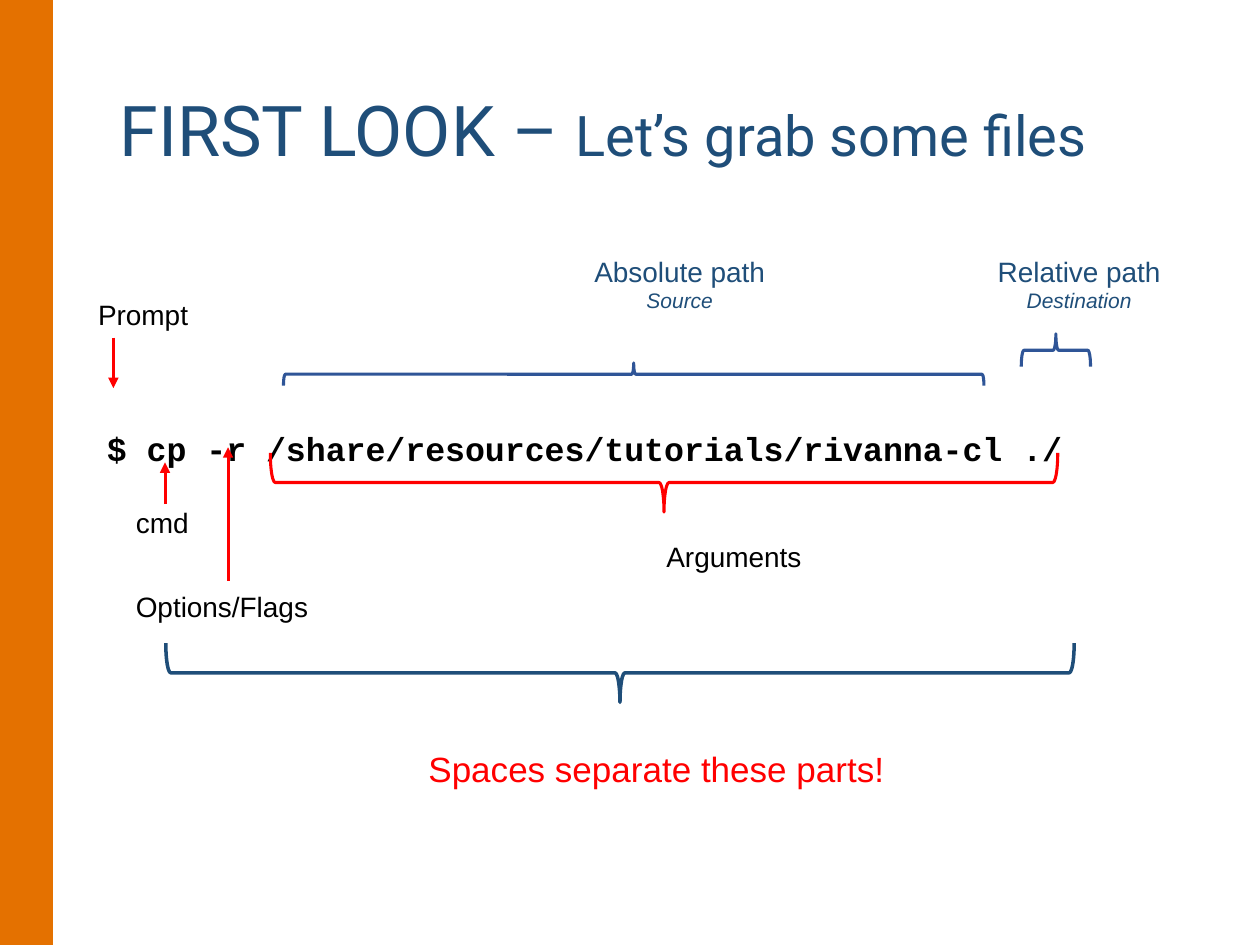
from lxml import etree
from pptx import Presentation
from pptx.dml.color import RGBColor
from pptx.enum.shapes import MSO_CONNECTOR, MSO_SHAPE
from pptx.enum.text import MSO_ANCHOR, PP_ALIGN
from pptx.oxml.ns import qn
from pptx.util import Inches, Pt

LEFT, CENTER = PP_ALIGN.LEFT, PP_ALIGN.CENTER
TOP, MIDDLE = MSO_ANCHOR.TOP, MSO_ANCHOR.MIDDLE
STRAIGHT = MSO_CONNECTOR.STRAIGHT
RECTANGLE, RIGHT_BRACE = MSO_SHAPE.RECTANGLE, MSO_SHAPE.RIGHT_BRACE

ORANGE = RGBColor(0xE4, 0x71, 0x00)
NAVY = RGBColor(0x1F, 0x4E, 0x79)
BLUE = RGBColor(0x2F, 0x55, 0x97)
RED = RGBColor(0xFF, 0x00, 0x00)
BLACK = RGBColor(0x00, 0x00, 0x00)

SLIDE_WIDTH, SLIDE_HEIGHT = 10, 7.5
UP, DOWN = 270, 90  # rotation that turns the tip of a right brace

# Content: paragraphs are lists of (text, size) runs
TITLE = [[("FIRST LOOK – ", 40), ("Let’s grab some files", 32)]]
COMMAND = [[("$ cp -r /share/resources/tutorials/rivanna-cl ./", 19)]]
MESSAGE = [[("Spaces separate these parts!", 20)]]

# text, left, top, width
PART_LABELS = [
    ("Prompt", 0.68, 2.31, 0.99),
    ("cmd", 0.98, 3.96, 0.63),
    ("Options/Flags", 0.98, 4.63, 1.63),
    ("Arguments", 5.19, 4.23, 1.29),
]
# heading, role, left, width
PATH_LABELS = [
    ("Absolute path", "Source", 4.61, 1.57),
    ("Relative path", "Destination", 7.81, 1.51),
]
# x, start y, end y
ARROWS = [(0.9, 2.68, 3.08), (1.31, 4, 3.67), (1.81, 4.61, 3.55)]
# centre x, centre y, span, depth, direction, colour, line width
BRACES = [
    (5.03, 2.97, 5.56, 0.18, UP, BLUE, 1.75),
    (8.38, 2.78, 0.55, 0.26, UP, BLUE, 1.75),
    (5.27, 3.83, 6.25, 0.47, DOWN, RED, 1.75),
    (4.92, 5.34, 7.21, 0.47, DOWN, NAVY, 2),
]


def add_text(slide, paragraphs, left, top, width, height, font="Arial", color=BLACK,
             bold=False, align=LEFT, anchor=TOP, wrap=True, spacing=1.0,
             italic_from=None):
    box = slide.shapes.add_textbox(Inches(left), Inches(top), Inches(width), Inches(height))
    frame = box.text_frame
    frame.word_wrap = wrap
    frame.vertical_anchor = anchor
    for index, runs in enumerate(paragraphs):
        paragraph = frame.add_paragraph() if index else frame.paragraphs[0]
        paragraph.alignment = align
        paragraph.line_spacing = spacing
        for text, size in runs:
            run = paragraph.add_run()
            run.text = text
            run.font.name = font
            run.font.size = Pt(size)
            run.font.bold = bold
            run.font.italic = italic_from is not None and index >= italic_from
            run.font.color.rgb = color


def add_arrow(slide, x, start, end):
    arrow = slide.shapes.add_connector(
        STRAIGHT, Inches(x), Inches(start), Inches(x), Inches(end))
    arrow.line.color.rgb = RED
    arrow.line.width = Pt(1.75)
    etree.SubElement(arrow.line._get_or_add_ln(), qn("a:tailEnd"), type="triangle")
    etree.SubElement(arrow._element.spPr, qn("a:effectLst"))


def add_brace(slide, center_x, center_y, span, depth, direction, color, weight):
    # The frame is upright before the brace is rotated about its centre
    brace = slide.shapes.add_shape(
        RIGHT_BRACE, Inches(center_x - depth / 2), Inches(center_y - span / 2),
        Inches(depth), Inches(span))
    brace.rotation = direction
    brace.shadow.inherit = False
    brace.fill.background()
    brace.line.color.rgb = color
    brace.line.width = Pt(weight)


def main():
    presentation = Presentation()
    presentation.slide_width = Inches(SLIDE_WIDTH)
    presentation.slide_height = Inches(SLIDE_HEIGHT)
    slide = presentation.slides.add_slide(presentation.slide_layouts[6])

    # Side band
    band = slide.shapes.add_shape(RECTANGLE, 0, 0, Inches(0.42), Inches(SLIDE_HEIGHT))
    band.shadow.inherit = False
    band.fill.solid()
    band.fill.fore_color.rgb = ORANGE
    band.line.fill.background()

    # Title, command and message
    add_text(slide, TITLE, 0.85, 0.34, 8.63, 1.45, font="Roboto", color=NAVY,
             anchor=MIDDLE, spacing=0.9)
    add_text(slide, COMMAND, 0.75, 3.36, 8.92, 0.4, font="Courier New", bold=True,
             anchor=MIDDLE)
    add_text(slide, MESSAGE, 0.75, 5.9, 8.92, 0.4, color=RED, align=CENTER, anchor=MIDDLE)

    # Labels
    for text, left, top, width in PART_LABELS:
        add_text(slide, [[(text, 16)]], left, top, width, 0.37, wrap=False)
    for heading, role, left, width in PATH_LABELS:
        add_text(slide, [[(heading, 16)], [(role, 12)]], left, 1.97, width, 0.57,
                 color=NAVY, align=CENTER, wrap=False, italic_from=1)

    # Arrows and braces
    for arrow in ARROWS:
        add_arrow(slide, *arrow)
    for brace in BRACES:
        add_brace(slide, *brace)

    presentation.save("out.pptx")


if __name__ == "__main__":
    main()
